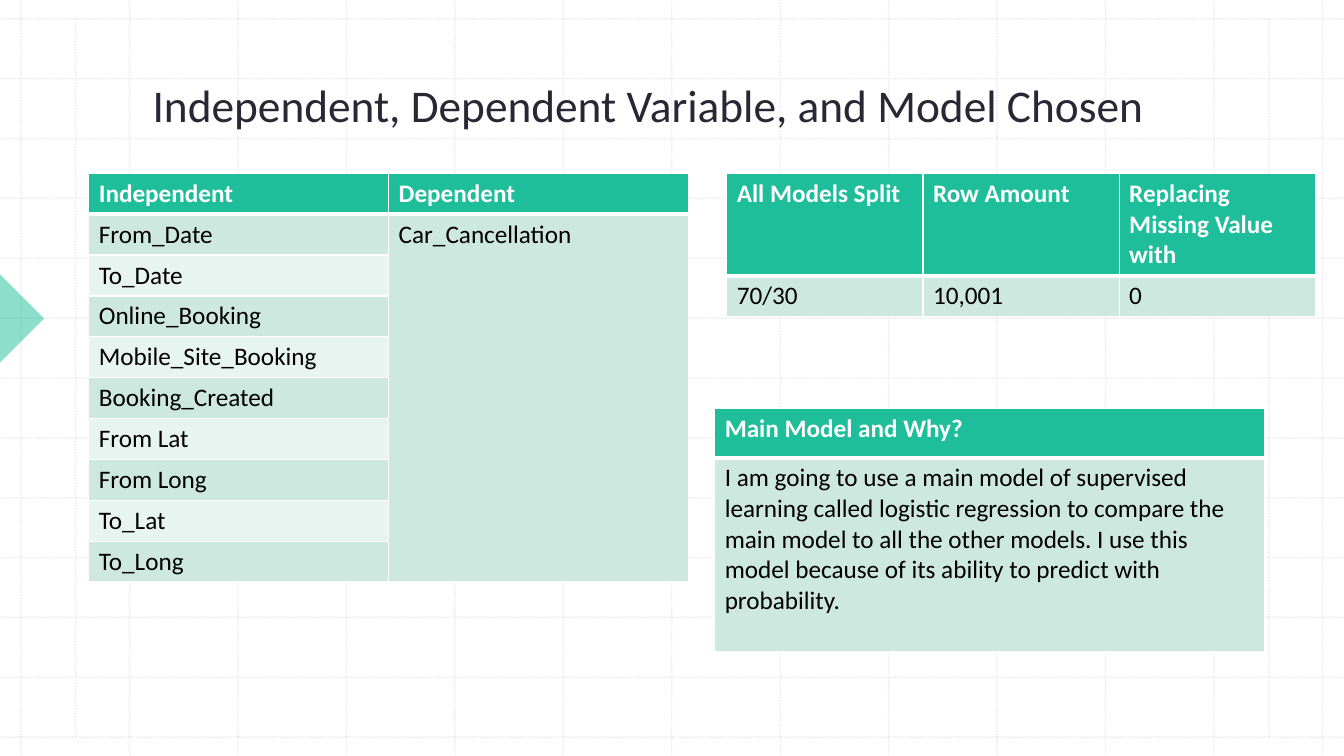
"""Build the slide on variables and the chosen model: three tables over a dotted grid."""
from dataclasses import dataclass

import lxml.etree
import pptx
import pptx.dml.color
import pptx.enum.shapes
import pptx.enum.text
import pptx.oxml
import pptx.oxml.ns
import pptx.util

Pt = pptx.util.Pt
qn = pptx.oxml.ns.qn


@dataclass(frozen=True)
class Theme:
    font: str = "Calibri"
    title_size: float = 32.4
    table_size: float = 18
    title: str = "2A2735"
    accent: str = "1EBE9B"
    band_dark: str = "CDE8DE"
    band_light: str = "E8F4EF"
    header_text: str = "FFFFFF"
    body_text: str = "000000"
    border: str = "FFFFFF"
    grid: str = "BCBCBC"


THEME = Theme()
WIDTH, HEIGHT = 960, 540
TITLE = "Independent, Dependent Variable, and Model Chosen"
INDEPENDENT = ["From_Date", "To_Date", "Online_Booking", "Mobile_Site_Booking",
               "Booking_Created", "From Lat", "From Long", "To_Lat", "To_Long"]
REASON = ("I am going to use a main model of supervised learning called logistic "
          "regression to compare the main model to all the other models. I use this "
          "model because of its ability to predict with probability.")
VARIABLES = [["Independent", "Dependent"], [INDEPENDENT[0], "Car_Cancellation"]]
VARIABLES += [[name, ""] for name in INDEPENDENT[1:]]
TABLES = [
    {"rows": VARIABLES, "at": (63.4, 123.8), "width": 428.4,
     "heights": [29.2] * len(VARIABLES), "merge": ((1, 1), (9, 1))},
    {"rows": [["All Models Split", "Row Amount", "Replacing Missing Value with"],
              ["70/30", "10,001", "0"]],
     "at": (519.1, 123.8), "width": 420.5, "heights": [72.4, 29.2]},
    {"rows": [["Main Model and Why?"], [REASON]],
     "at": (510.5, 291.6), "width": 393.1, "heights": [35.3, 138.6]},
]


def color(value):
    return pptx.dml.color.RGBColor.from_string(value)


def set_alpha(fill_parent, percent):
    rgb = next(fill_parent.iter(qn("a:srgbClr")))
    lxml.etree.SubElement(rgb, qn("a:alpha"), val=str(percent * 1000))


def add_grid_line(slide, x1, y1, x2, y2):
    line = slide.shapes.add_connector(
        pptx.enum.shapes.MSO_CONNECTOR.STRAIGHT, Pt(x1), Pt(y1), Pt(x2), Pt(y2))
    line.line.color.rgb = color(THEME.grid)
    line.line.width = Pt(1)
    properties = line._element.spPr
    set_alpha(properties, 30)
    outline = properties.find(qn("a:ln"))
    lxml.etree.SubElement(outline, qn("a:prstDash"), val="sysDot")
    lxml.etree.SubElement(properties, qn("a:effectLst"))


def add_background(slide):
    for column in range(13):
        x = 15.1 + 77.46 * column
        add_grid_line(slide, x, 0, x, HEIGHT)
    for row in range(13):
        y = 13.5 + 42.75 * row
        add_grid_line(slide, 0, y, WIDTH, y)
    for x in (54, 906.5):
        add_grid_line(slide, x, 13.5, x, 526.5)
    pointer = slide.shapes.add_shape(
        pptx.enum.shapes.MSO_SHAPE.RIGHT_TRIANGLE, Pt(-22.4), Pt(205.2), Pt(44.7), Pt(44.7))
    pointer.rotation = 225
    pointer.shadow.inherit = False
    pointer.fill.solid()
    pointer.fill.fore_color.rgb = color(THEME.accent)
    set_alpha(pointer._element.spPr, 50)
    pointer.line.fill.background()


def format_title(slide):
    title = slide.shapes.title
    slide.shapes._spTree.append(title._element)
    title.left, title.top, title.width, title.height = Pt(49.7), Pt(25.9), Pt(826.6), Pt(72)
    frame = title.text_frame
    frame.text = TITLE
    frame.word_wrap = True
    frame.auto_size = pptx.enum.text.MSO_AUTO_SIZE.NONE
    frame.vertical_anchor = pptx.enum.text.MSO_ANCHOR.BOTTOM
    paragraph = frame.paragraphs[0]
    paragraph.alignment = pptx.enum.text.PP_ALIGN.CENTER
    paragraph.font.name = THEME.font
    paragraph.font.size = Pt(THEME.title_size)
    paragraph.font.color.rgb = color(THEME.title)


def set_borders(cell, row):
    properties = cell._tc.get_or_add_tcPr()
    widths = {"lnL": 1, "lnR": 1, "lnT": 3 if row == 1 else 1, "lnB": 3 if row == 0 else 1}
    for side, width in widths.items():
        line = lxml.etree.SubElement(properties, qn("a:" + side), w=str(Pt(width)))
        fill = lxml.etree.SubElement(line, qn("a:solidFill"))
        lxml.etree.SubElement(fill, qn("a:srgbClr"), val=THEME.border)


def format_cell(cell, text, row):
    header = row == 0
    set_borders(cell, row)
    cell.fill.solid()
    band = THEME.band_dark if row % 2 else THEME.band_light
    cell.fill.fore_color.rgb = color(THEME.accent if header else band)
    cell.text = text
    font = cell.text_frame.paragraphs[0].font
    font.name = THEME.font
    font.size = Pt(THEME.table_size)
    font.bold = header
    font.color.rgb = color(THEME.header_text if header else THEME.body_text)


def add_table(slide, content):
    rows, heights = content["rows"], content["heights"]
    columns = len(rows[0])
    left, top = content["at"]
    table = slide.shapes.add_table(len(rows), columns, Pt(left), Pt(top),
                                   Pt(content["width"]), Pt(sum(heights))).table
    for column in table.columns:
        column.width = Pt(content["width"] / columns)
    for row, texts in enumerate(rows):
        table.rows[row].height = Pt(heights[row])
        for column, text in enumerate(texts):
            format_cell(table.cell(row, column), text, row)
    if "merge" in content:
        first, last = content["merge"]
        table.cell(*first).merge(table.cell(*last))


def main():
    presentation = pptx.Presentation()
    presentation.slide_width, presentation.slide_height = Pt(WIDTH), Pt(HEIGHT)
    slide = presentation.slides.add_slide(presentation.slide_layouts[5])
    add_background(slide)
    format_title(slide)
    for content in TABLES:
        add_table(slide, content)
    presentation.save("out.pptx")


main()
